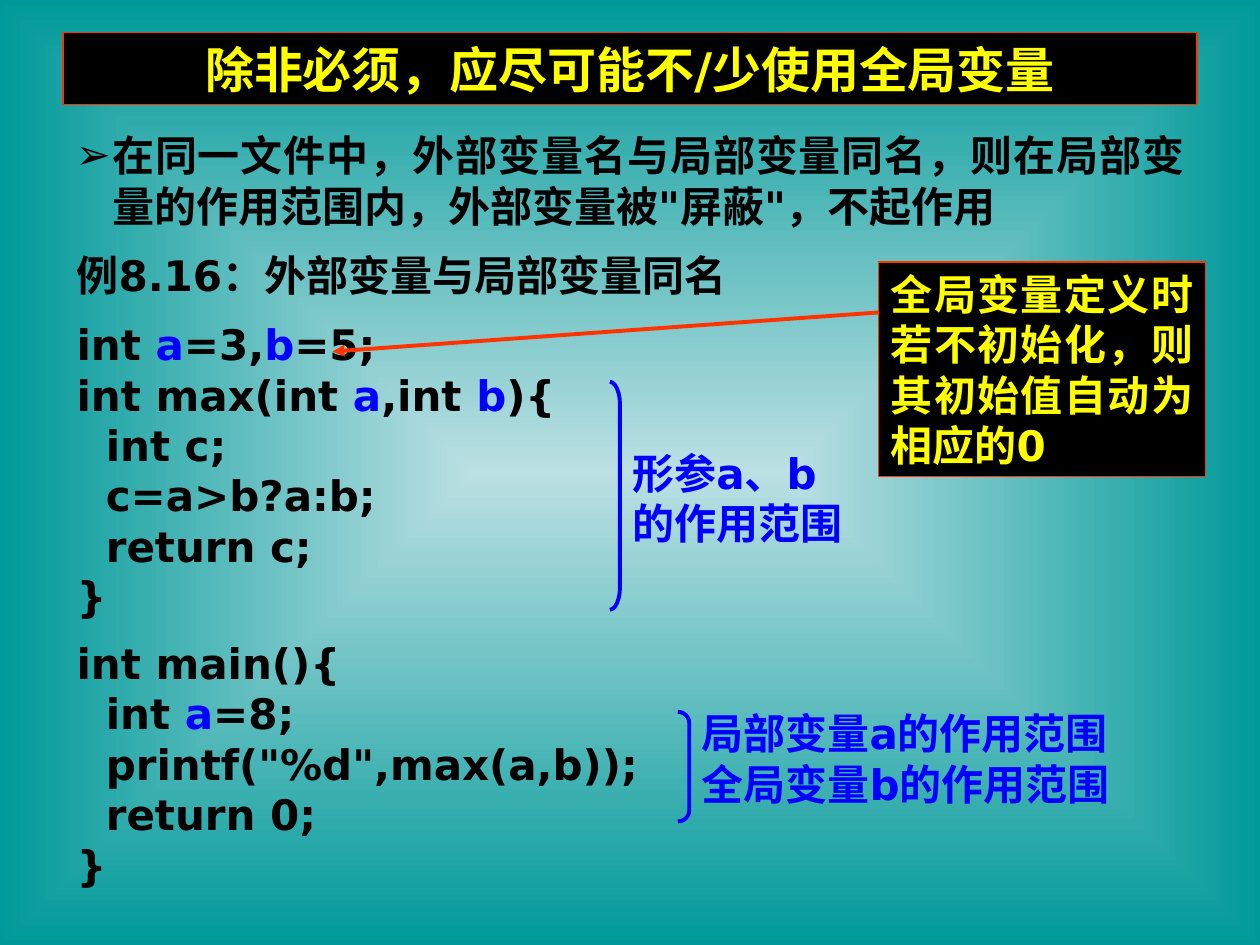
from lxml.etree import SubElement
from pptx import Presentation
from pptx.dml.color import RGBColor
from pptx.enum.shapes import MSO_CONNECTOR, MSO_SHAPE
from pptx.enum.text import MSO_ANCHOR, MSO_AUTO_SIZE, PP_ALIGN
from pptx.oxml.ns import qn
from pptx.util import Inches, Pt

HUES = {
    "ink": "000000",
    "mark": "0000FF",
    "gold": "FFFF00",
    "edge": "FF3300",
    "mid": "BBE0E3",
    "rim": "009999",
}
FONT = "DejaVu Sans"
TITLE = "除非必须，应尽可能不/少使用全局变量"
POINT = "在同一文件中，外部变量名与局部变量同名，则在局部变量的作用范围内，外部变量被\"屏蔽\"，不起作用"
LABEL = "例8.16：外部变量与局部变量同名"
MAX = """int *a*=3,*b*=5;
int max(int *a*,int *b*){
  int c;
  c=a>b?a:b;
  return c;
}"""
MAIN = """int main(){
  int *a*=8;
  printf("%d",max(a,b));
  return 0;
}"""
NOTE = "全局变量定义时若不初始化，则其初始值自动为相应的0"


def hue(name):
    """Return a named colour."""
    return RGBColor.from_string(HUES[name])


def place(shape, box):
    """Move a shape to a box given in inches."""
    shape.left, shape.top, shape.width, shape.height = map(Inches, box)


def bullet(para, char):
    """Give a paragraph a hanging bullet."""
    props = para._p.get_or_add_pPr()
    props.set("marL", str(Inches(0.29)))
    props.set("indent", str(-Inches(0.29)))
    tint = SubElement(props, qn("a:buClr"))
    SubElement(tint, qn("a:srgbClr"), val=HUES["ink"])
    SubElement(props, qn("a:buChar"), char=char)


def write(shape, text, size=24, color="ink", align=PP_ALIGN.LEFT,
          anchor=MSO_ANCHOR.TOP, char=None):
    """Fill a shape with lines of text; parts between stars are marked."""
    frame = shape.text_frame
    frame.word_wrap = True
    frame.auto_size = MSO_AUTO_SIZE.NONE
    frame.vertical_anchor = anchor
    for row, line in enumerate(text.split("\n")):
        para = frame.add_paragraph() if row else frame.paragraphs[0]
        if char:
            bullet(para, char)
        para.alignment = align
        para.space_before = Pt(0)
        for part, words in enumerate(line.split("*")):
            run = para.add_run()
            run.text = words
            font = run.font
            font.name, font.size, font.bold = FONT, Pt(size), True
            font.color.rgb = hue("mark" if part % 2 else color)


def panel(shape):
    """Paint a shape as a black panel with a red edge."""
    shape.fill.solid()
    shape.fill.fore_color.rgb = hue("ink")
    shape.line.color.rgb = hue("edge")
    shape.line.width = Pt(0.75)


def backdrop(slide):
    """Paint the background with a gradient from the centre to the rim."""
    fill = slide.background.fill
    fill.gradient()
    for stop, name in zip(fill.gradient_stops, ("mid", "rim")):
        stop.color.rgb = hue(name)
    line = slide.element.find(".//" + qn("a:lin"))
    grad = line.getparent()
    grad.remove(line)
    track = SubElement(grad, qn("a:path"), path="rect")
    SubElement(track, qn("a:fillToRect"), l="50000", t="50000", r="50000", b="50000")


def header(slide, box):
    """Place the title panel."""
    title = slide.shapes.title
    place(title, box)
    panel(title)
    write(title, TITLE, size=28, color="gold", align=PP_ALIGN.CENTER,
          anchor=MSO_ANCHOR.MIDDLE)


def point(slide, box):
    """Place the bulleted statement."""
    body = slide.placeholders[1]
    place(body, box)
    write(body, POINT, align=PP_ALIGN.JUSTIFY, char="➢")


def block(slide, box, text, **form):
    """Place a text box."""
    write(slide.shapes.add_textbox(*map(Inches, box)), text, **form)


def scope(slide, box, text, rise, size):
    """Place a bracket in the box and its label to the right of it."""
    left, top, width, height = box
    mark = slide.shapes.add_shape(MSO_SHAPE.RIGHT_BRACKET, *map(Inches, box))
    mark.adjustments[0] = height * 0.1 / width
    mark.shadow.inherit = False
    mark.fill.background()
    mark.line.color.rgb = hue("mark")
    mark.line.width = Pt(2.25)
    block(slide, (left + width, top + rise, *size), text, color="mark")


def callout(slide, box, tip):
    """Place the note panel and the arrow from it to the tip."""
    left, top, width, height = box
    note = slide.shapes.add_shape(MSO_SHAPE.RECTANGLE, *map(Inches, box))
    note.shadow.inherit = False
    panel(note)
    write(note, NOTE, color="gold", align=PP_ALIGN.JUSTIFY)
    arrow = slide.shapes.add_connector(
        MSO_CONNECTOR.STRAIGHT, *map(Inches, (left, top + 0.4, *tip)))
    arrow.line.color.rgb = hue("edge")
    arrow.line.width = Pt(2.25)
    SubElement(arrow.line._get_or_add_ln(), qn("a:tailEnd"), type="triangle")
    SubElement(arrow._element.spPr, qn("a:effectLst"))


def main():
    """Build and save the slide."""
    deck = Presentation()
    deck.slide_width, deck.slide_height = Inches(10), Inches(7.5)
    slide = deck.slides.add_slide(deck.slide_layouts[1])
    backdrop(slide)
    header(slide, (0.5, 0.26, 9, 0.57))
    point(slide, (0.5, 0.98, 9, 0.9))
    for top, height, text in ((1.93, 0.5, LABEL), (2.48, 2.5, MAX), (5.01, 2.1, MAIN)):
        block(slide, (0.51, top, 9, height), text)
    scope(slide, (4.84, 3.03, 0.08, 1.81), "形参a、b的作用范围", 0.47, (1.89, 0.9))
    scope(slide, (5.38, 5.65, 0.09, 0.87),
          "局部变量a的作用范围\n全局变量b的作用范围", -0.08, (3.75, 0.9))
    callout(slide, (6.97, 2.08, 2.6, 1.7), (2.64, 2.79))
    deck.save("out.pptx")


if __name__ == "__main__":
    main()
